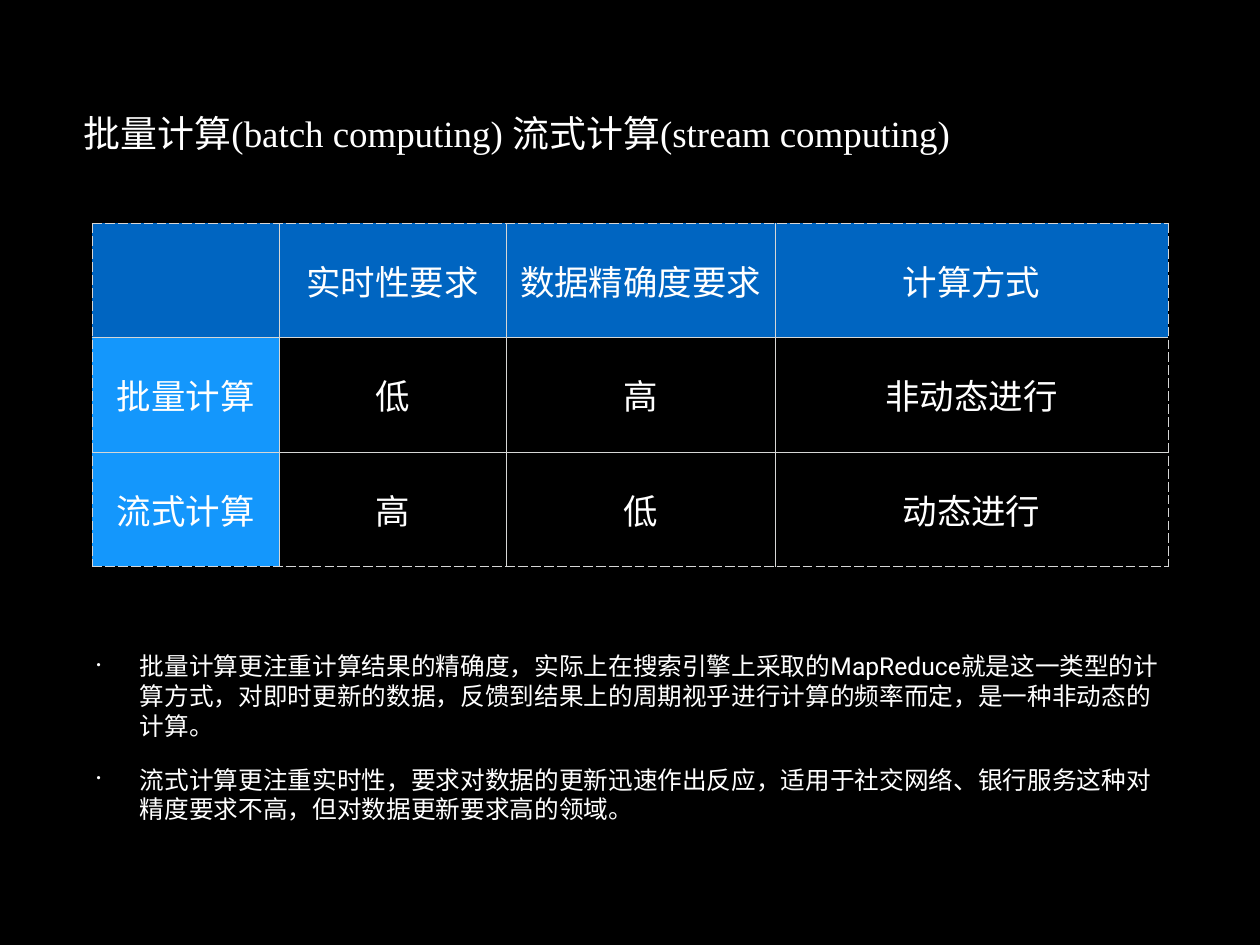
from lxml import etree
from pptx import Presentation
from pptx.dml.color import RGBColor
from pptx.enum.text import MSO_ANCHOR, MSO_AUTO_SIZE, PP_ALIGN
from pptx.oxml.ns import qn
from pptx.util import Inches, Pt

CENTER, LEFT = PP_ALIGN.CENTER, PP_ALIGN.LEFT
MIDDLE = MSO_ANCHOR.MIDDLE
GROW = MSO_AUTO_SIZE.SHAPE_TO_FIT_TEXT
TITLE_ONLY = 5

COLORS = {
    "background": "000000",
    "text": "FFFFFF",
    "header": "0065C1",
    "row label": "1497FC",
    "inner border": "D6D7D6",
    "outer border": "D6D6D6",
}
TITLE_FONT, BODY_FONT = "Times New Roman", "Roboto"

# Content
TITLE = "批量计算(batch computing) 流式计算(stream computing)"
COMPARISON = [
    ["", "实时性要求", "数据精确度要求", "计算方式"],
    ["批量计算", "低", "高", "非动态进行"],
    ["流式计算", "高", "低", "动态进行"],
]
NOTES = [
    "批量计算更注重计算结果的精确度，实际上在搜索引擎上采取的MapReduce就是这一类型的计算方式，"
    "对即时更新的数据，反馈到结果上的周期视乎进行计算的频率而定，是一种非动态的计算。",
    "流式计算更注重实时性，要求对数据的更新迅速作出反应，适用于社交网络、银行服务这种对"
    "精度要求不高，但对数据更新要求高的领域。",
]

# Layout, in inches
TITLE_AREA = (0.24, 1, 11.19, 0.81)
NOTES_AREA = (1.03, 7.29, 12.17, 2.06)
TABLE_LEFT, TABLE_TOP = 1.04, 2.52
COLUMN_WIDTHS = [2.11, 2.56, 3.04, 4.43]
ROW_HEIGHT = 1.29
THIN, THICK = 0.45, 0.96  # border widths in points


def color(name):
    return RGBColor.from_string(COLORS[name])


def format_paragraph(para, font, size, align):
    para.alignment = align
    para.font.name = font
    para.font.size = Pt(size)
    para.font.color.rgb = color("text")


def set_hanging_indent(para, indent):
    properties = para._p.get_or_add_pPr()
    properties.set("marL", str(Inches(indent)))
    properties.set("indent", str(Inches(-indent)))


def add_bullet(para):
    properties = para._p.get_or_add_pPr()
    bullet_color = etree.SubElement(properties, qn("a:buClr"))
    etree.SubElement(bullet_color, qn("a:srgbClr"), val=COLORS["text"])
    etree.SubElement(properties, qn("a:buSzPct"), val="50000")
    etree.SubElement(properties, qn("a:buChar"), char="•")


def set_frame(frame, wrap):
    frame.word_wrap = wrap
    frame.auto_size = GROW
    frame.vertical_anchor = MIDDLE
    frame.margin_left = frame.margin_right = Inches(0.06)
    frame.margin_top = frame.margin_bottom = Inches(0.06)


def add_border(cell, side, width, outer):
    line = etree.SubElement(cell._tc.get_or_add_tcPr(), qn(f"a:ln{side}"), w=str(Pt(width)))
    fill = etree.SubElement(line, qn("a:solidFill"))
    name = "outer border" if outer else "inner border"
    etree.SubElement(fill, qn("a:srgbClr"), val=COLORS[name])
    etree.SubElement(line, qn("a:prstDash"), val="dash" if outer else "solid")


deck = Presentation()
deck.slide_width, deck.slide_height = Inches(14.22), Inches(10.66)
page = deck.slides.add_slide(deck.slide_layouts[TITLE_ONLY])
page.background.fill.solid()
page.background.fill.fore_color.rgb = color("background")

# Title
title = page.shapes.title
title.left, title.top, title.width, title.height = map(Inches, TITLE_AREA)
set_frame(title.text_frame, wrap=False)
title.text_frame.text = TITLE
heading = title.text_frame.paragraphs[0]
set_hanging_indent(heading, 0.5)
heading.line_spacing = Pt(50)
heading.space_before = Pt(12)
format_paragraph(heading, TITLE_FONT, 30, CENTER)

# Comparison table
row_count, column_count = len(COMPARISON), len(COLUMN_WIDTHS)
table = page.shapes.add_table(
    row_count, column_count, Inches(TABLE_LEFT), Inches(TABLE_TOP),
    Inches(sum(COLUMN_WIDTHS)), Inches(ROW_HEIGHT * row_count)).table
table.first_row = table.horz_banding = False
for column, width in zip(table.columns, COLUMN_WIDTHS):
    column.width = Inches(width)

for r, labels in enumerate(COMPARISON):
    table.rows[r].height = Inches(ROW_HEIGHT)
    for c, label in enumerate(labels):
        cell = table.cell(r, c)
        # Dashed frame; thicker rules below the header and beside the row labels
        add_border(cell, "L", THICK if r > 0 and c == 1 else THIN, c == 0)
        add_border(cell, "R", THICK if r > 0 and c == 0 else THIN, c == column_count - 1)
        add_border(cell, "T", THICK if r == 1 else THIN, r == 0)
        add_border(cell, "B", THICK if r == 0 else THIN, r == row_count - 1)
        if r == 0 or c == 0:
            cell.fill.solid()
            cell.fill.fore_color.rgb = color("header" if r == 0 else "row label")
        else:
            cell.fill.background()
        cell.vertical_anchor = MIDDLE
        cell.margin_left = cell.margin_right = Inches(0.06)
        cell.margin_top = cell.margin_bottom = Inches(0.05)
        cell.text = label
        format_paragraph(cell.text_frame.paragraphs[0], BODY_FONT, 28, CENTER)

# Bulleted notes
notes_frame = page.shapes.add_textbox(*map(Inches, NOTES_AREA)).text_frame
set_frame(notes_frame, wrap=True)
notes_frame.text = "\n".join(NOTES)
for para in notes_frame.paragraphs:
    set_hanging_indent(para, 0.49)
    add_bullet(para)
    para.space_before = Pt(20)
    format_paragraph(para, BODY_FONT, 20, LEFT)

deck.save("out.pptx")
